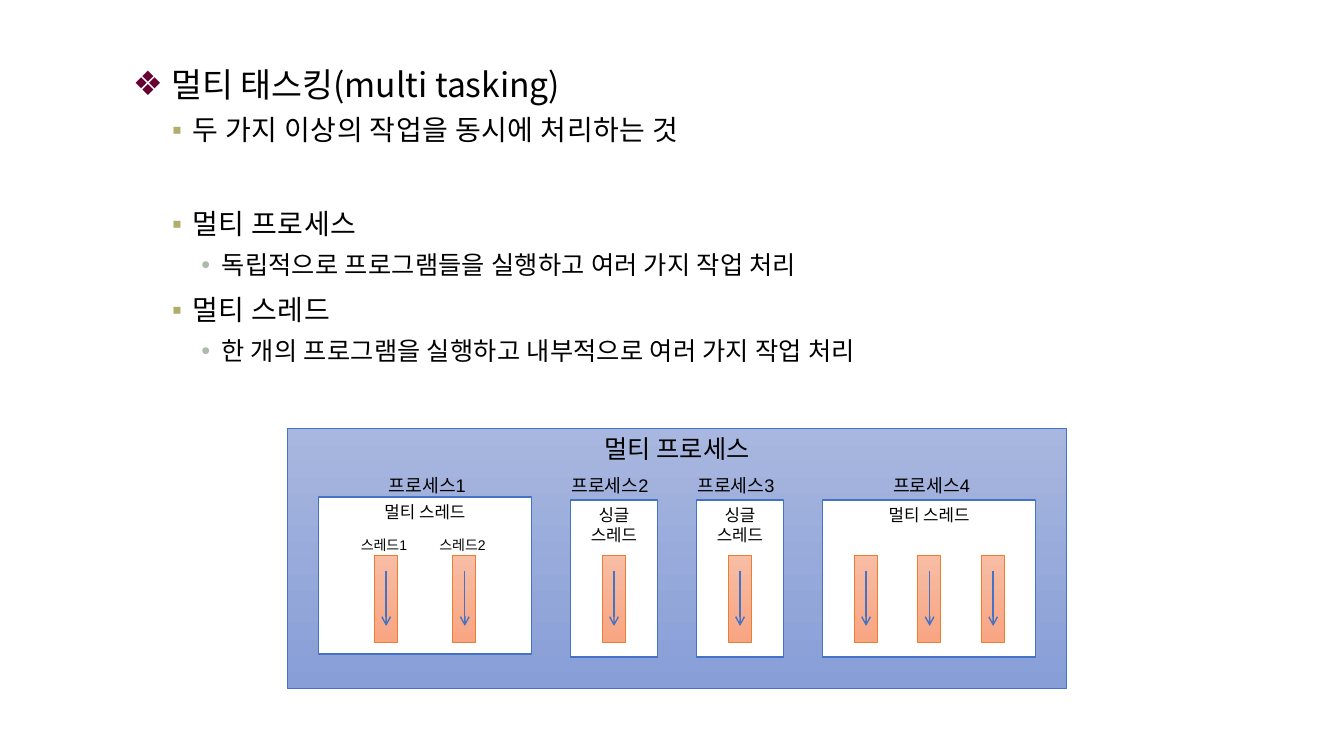
from dataclasses import dataclass

from lxml.etree import SubElement
from pptx import Presentation
from pptx.dml.color import RGBColor
from pptx.enum.shapes import MSO_CONNECTOR as Connector, MSO_SHAPE as Preset
from pptx.enum.text import MSO_ANCHOR as Anchor, MSO_AUTO_SIZE as AutoSize, PP_ALIGN as Align
from pptx.oxml.ns import qn
from pptx.util import Inches, Pt

KOREAN, LATIN = "Noto Sans CJK KR", "Arial"
COLORS = {
    "text": "000000", "white": "FFFFFF", "blue": "4472C4", "orange": "ED7D31",
    "panel_top": "A8B7DF", "panel_bottom": "889ED7",
    "thread_top": "F7BDA5", "thread_bottom": "F8A582",
    "diamond": "660033", "square": "B1AE6B", "dot": "ADB9AD",
}
THREAD_TOP, THREAD_WIDTH, THREAD_HEIGHT = 5.51, 0.23, 0.86
ARROW_TOP, ARROW_BOTTOM = 5.66, 6.21


@dataclass(frozen=True)
class Level:
    bullet: str
    color: str
    margin: float
    indent: float
    size: int
    before: float
    after: float
    tracking: int  # hundredths of a point


@dataclass(frozen=True)
class Point:
    text: str
    level: Level
    extra_before: float = 0


@dataclass(frozen=True)
class Process:
    label: str
    label_left: float
    left: float
    top: float
    width: float
    caption: tuple[str, ...]
    thread_lefts: tuple[float, ...]
    thread_labels: tuple[str, ...] = ()


TOPIC = Level("❖", "diamond", 0.38, -0.38, 24, 0, 0, 0)
ITEM = Level("▪", "square", 0.59, -0.2, 20, 6.5, 3, 30)
DETAIL = Level("•", "dot", 0.88, -0.2, 18, 3.5, 3, 20)

POINTS = [
    Point("멀티 태스킹(multi tasking)", TOPIC),
    Point("두 가지 이상의 작업을 동시에 처리하는 것", ITEM),
    Point("멀티 프로세스", ITEM, 33.5),
    Point("독립적으로 프로그램들을 실행하고 여러 가지 작업 처리", DETAIL),
    Point("멀티 스레드", ITEM),
    Point("한 개의 프로그램을 실행하고 내부적으로 여러 가지 작업 처리", DETAIL),
]
MULTI, SINGLE = ("멀티 스레드",), ("싱글", "스레드")
PROCESSES = [
    Process("프로세스1", 3.76, 3.16, 4.93, 2.11, MULTI, (3.71, 4.49), ("스레드1", "스레드2")),
    Process("프로세스2", 5.57, 5.66, 4.96, 0.86, SINGLE, (5.97,)),
    Process("프로세스3", 6.82, 6.91, 4.96, 0.86, SINGLE, (7.22,)),
    Process("프로세스4", 8.76, 8.16, 4.96, 2.11, MULTI, (8.47, 9.1, 9.73)),
]


def rgb(name: str) -> RGBColor:
    return RGBColor.from_string(COLORS[name])


def add_run(paragraph, text: str, size: int, latin: str = LATIN, tracking: int = 0) -> None:
    run = paragraph.add_run()
    run.text = text
    run.font.size = Pt(size)
    run.font.name = latin
    run.font.color.rgb = rgb("text")
    SubElement(run.font._element, qn("a:ea"), typeface=KOREAN)
    if tracking:
        run.font._element.set("spc", str(tracking))


def add_point(paragraph, point: Point) -> None:
    level = point.level
    paragraph.space_before = Pt(level.before + point.extra_before)
    paragraph.space_after = Pt(level.after)
    properties = paragraph._p.get_or_add_pPr()
    properties.set("marL", str(Inches(level.margin)))
    properties.set("indent", str(Inches(level.indent)))
    bullet_color = SubElement(properties, qn("a:buClr"))
    SubElement(bullet_color, qn("a:srgbClr"), val=COLORS[level.color])
    SubElement(properties, qn("a:buFont"), typeface=LATIN)
    SubElement(properties, qn("a:buChar"), char=level.bullet)
    add_run(paragraph, point.text, level.size, KOREAN, level.tracking)


def add_box(shapes, left: float, top: float, width: float, height: float,
            fills: tuple[str, ...], outline: str, line_width: float):
    box = shapes.add_shape(Preset.RECTANGLE, Inches(left), Inches(top), Inches(width), Inches(height))
    box.shadow.inherit = False
    if len(fills) == 1:
        box.fill.solid()
        box.fill.fore_color.rgb = rgb(fills[0])
    else:
        box.fill.gradient()
        box.fill.gradient_angle = 270
        for stop, name in zip(box.fill.gradient_stops, fills):
            stop.color.rgb = rgb(name)
    box.line.color.rgb = rgb(outline)
    box.line.width = Pt(line_width)
    return box


def add_caption(box, lines: tuple[str, ...], size: int, latin: str = LATIN) -> None:
    frame = box.text_frame
    frame.word_wrap = True
    frame.vertical_anchor = Anchor.TOP
    for index, text in enumerate(lines):
        paragraph = frame.add_paragraph() if index else frame.paragraphs[0]
        paragraph.alignment = Align.CENTER
        add_run(paragraph, text, size, latin)


def add_label(shapes, text: str, left: float, top: float, width: float, height: float, size: int) -> None:
    label = shapes.add_textbox(Inches(left), Inches(top), Inches(width), Inches(height))
    label.text_frame.word_wrap = False
    label.text_frame.auto_size = AutoSize.SHAPE_TO_FIT_TEXT
    add_run(label.text_frame.paragraphs[0], text, size)


def add_thread(shapes, left: float) -> None:
    thread = shapes.add_group_shape().shapes
    add_box(thread, left, THREAD_TOP, THREAD_WIDTH, THREAD_HEIGHT,
            ("thread_top", "thread_bottom"), "orange", 0.5)
    x = Inches(left + 0.12)
    arrow = thread.add_connector(Connector.STRAIGHT, x, Inches(ARROW_TOP), x, Inches(ARROW_BOTTOM))
    arrow.line.color.rgb = rgb("blue")
    arrow.line.width = Pt(1)
    SubElement(arrow.line._get_or_add_ln(), qn("a:tailEnd"), type="arrow")
    SubElement(arrow._element.spPr, qn("a:effectLst"))


def add_process(shapes, process: Process) -> None:
    frame = add_box(shapes, process.left, process.top, process.width, 1.56, ("white",), "blue", 1)
    add_caption(frame, process.caption, 12)
    add_label(shapes, process.label, process.label_left, 4.66, 1.03, 0.32, 13)
    for left in process.thread_lefts:
        add_thread(shapes, left)
    for left, text in zip(process.thread_lefts, process.thread_labels):
        add_label(shapes, text, left - 0.23, 5.27, 0.7, 0.27, 10)


def main() -> None:
    presentation = Presentation()
    presentation.slide_width, presentation.slide_height = Inches(13.33), Inches(7.5)
    shapes = presentation.slides.add_slide(presentation.slide_layouts[6]).shapes

    # Explanation
    explanation = shapes.add_textbox(Inches(1.22), Inches(0.58), Inches(9.5), Inches(6.25)).text_frame
    explanation.word_wrap = True
    for index, point in enumerate(POINTS):
        add_point(explanation.add_paragraph() if index else explanation.paragraphs[0], point)

    # Multi-process diagram
    panel = add_box(shapes, 2.85, 4.25, 7.73, 2.58, ("panel_top", "panel_bottom"), "blue", 0.5)
    add_caption(panel, ("멀티 프로세스",), 18, KOREAN)
    for process in PROCESSES:
        add_process(shapes, process)

    presentation.save("out.pptx")


if __name__ == "__main__":
    main()
